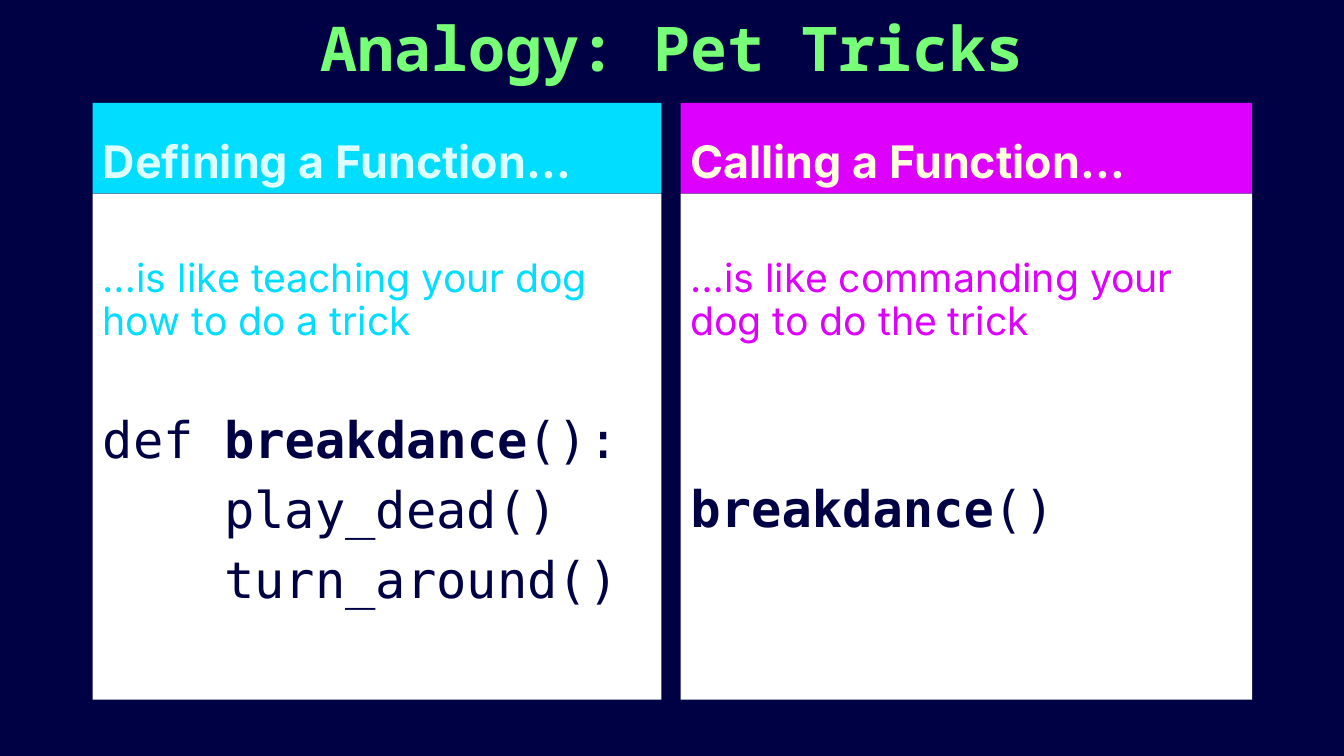
import dataclasses

import pptx
import pptx.dml.color
import pptx.enum.shapes
import pptx.enum.text
import pptx.util

EMU_PER_PX = 9144
SLIDE_SIZE = (1333, 750)
TITLE_AREA = (92, 0, 1150, 102)
HEADER_TOP, HEADER_HEIGHT = 102, 90
BODY_TOP, BODY_HEIGHT = 192, 502
BODY_INSET = 65


@dataclasses.dataclass(frozen=True)
class Theme:
    """Colours, fonts and type sizes of the slide."""

    navy: str = "000044"
    green: str = "77FF77"
    cyan: str = "00DDFF"
    pale_cyan: str = "DDFFFF"
    magenta: str = "DD00FF"
    pale_yellow: str = "FFFFDD"
    white: str = "FFFFFF"
    title_font: str = "Noto Sans Mono"
    prose_font: str = "Inter"
    code_font: str = "DejaVu Sans Mono"
    title_size: int = 44
    header_size: int = 32
    prose_size: int = 28
    code_size: int = 36
    line_spacing: float = 0.9
    code_gap: float = 11


THEME = Theme()


@dataclasses.dataclass(frozen=True)
class Column:
    """Content and look of one side of the analogy."""

    left: int
    width: int
    colour: str
    header_colour: str
    header: str
    prose: str
    code: tuple
    gap_before_code: float


COLUMNS = (
    Column(92, 564, THEME.cyan, THEME.pale_cyan, "Defining a Function…",
           "…is like teaching your dog how to do a trick",
           (("def ", "breakdance", "():"), ("    play_dead()",), ("    turn_around()",)), 51),
    Column(675, 567, THEME.magenta, THEME.pale_yellow, "Calling a Function…",
           "…is like commanding your dog to do the trick",
           (("breakdance", "()"),), 100),
)


def px(length):
    """Turn whole pixels into EMU."""
    return pptx.util.Emu(length * EMU_PER_PX)


def rgb(colour):
    """Turn a hex string into a colour."""
    return pptx.dml.color.RGBColor.from_string(colour)


def style_span(span, font, size, colour, bold=False):
    """Set the font of one run."""
    span.font.name = font
    span.font.size = pptx.util.Pt(size)
    span.font.color.rgb = rgb(colour)
    span.font.bold = bold


def style_para(para, align=pptx.enum.text.PP_ALIGN.LEFT, space_before=0):
    """Set the alignment and spacing of one paragraph."""
    para.alignment = align
    para.line_spacing = THEME.line_spacing
    para.space_before = pptx.util.Pt(space_before)


def add_panel(page, area, fill, anchor):
    """Add a plain filled rectangle that holds text."""
    panel = page.shapes.add_shape(pptx.enum.shapes.MSO_SHAPE.RECTANGLE, *map(px, area))
    panel.shadow.inherit = False
    panel.fill.solid()
    panel.fill.fore_color.rgb = rgb(fill)
    panel.line.fill.background()
    panel.text_frame.word_wrap = True
    panel.text_frame.vertical_anchor = anchor
    return panel


def add_title(page, text):
    """Place and format the title placeholder."""
    title = page.shapes.title
    title.left, title.top, title.width, title.height = map(px, TITLE_AREA)
    title.text_frame.text = text
    title.text_frame.vertical_anchor = pptx.enum.text.MSO_ANCHOR.MIDDLE
    para = title.text_frame.paragraphs[0]
    style_para(para, pptx.enum.text.PP_ALIGN.CENTER)
    style_span(para.runs[0], THEME.title_font, THEME.title_size, THEME.green, bold=True)


def add_header(page, column):
    """Add the coloured heading of a column."""
    area = (column.left, HEADER_TOP, column.width, HEADER_HEIGHT)
    header = add_panel(page, area, column.colour, pptx.enum.text.MSO_ANCHOR.BOTTOM)
    header.text_frame.text = column.header
    para = header.text_frame.paragraphs[0]
    style_para(para)
    style_span(para.runs[0], THEME.prose_font, THEME.header_size, column.header_colour, bold=True)


def add_code_line(frame, parts, space_before):
    """Add one line of code with the function name in bold."""
    para = frame.add_paragraph()
    style_para(para, space_before=space_before)
    for part in parts:
        span = para.add_run()
        span.text = part
        style_span(span, THEME.code_font, THEME.code_size, THEME.navy, bold=part == "breakdance")


def add_body(page, column):
    """Add the white card with the explanation and the code."""
    area = (column.left, BODY_TOP, column.width, BODY_HEIGHT)
    frame = add_panel(page, area, THEME.white, pptx.enum.text.MSO_ANCHOR.TOP).text_frame
    frame.margin_top = px(BODY_INSET)
    frame.text = column.prose
    para = frame.paragraphs[0]
    style_para(para)
    style_span(para.runs[0], THEME.prose_font, THEME.prose_size, column.colour)
    for index, parts in enumerate(column.code):
        add_code_line(frame, parts, THEME.code_gap if index else column.gap_before_code)


def main():
    """Build and save the slide."""
    deck = pptx.Presentation()
    deck.slide_width, deck.slide_height = map(px, SLIDE_SIZE)
    page = deck.slides.add_slide(deck.slide_layouts[5])
    page.background.fill.solid()
    page.background.fill.fore_color.rgb = rgb(THEME.navy)
    add_title(page, "Analogy: Pet Tricks")
    for column in COLUMNS:
        add_header(page, column)
        add_body(page, column)
    deck.save("out.pptx")


if __name__ == "__main__":
    main()
